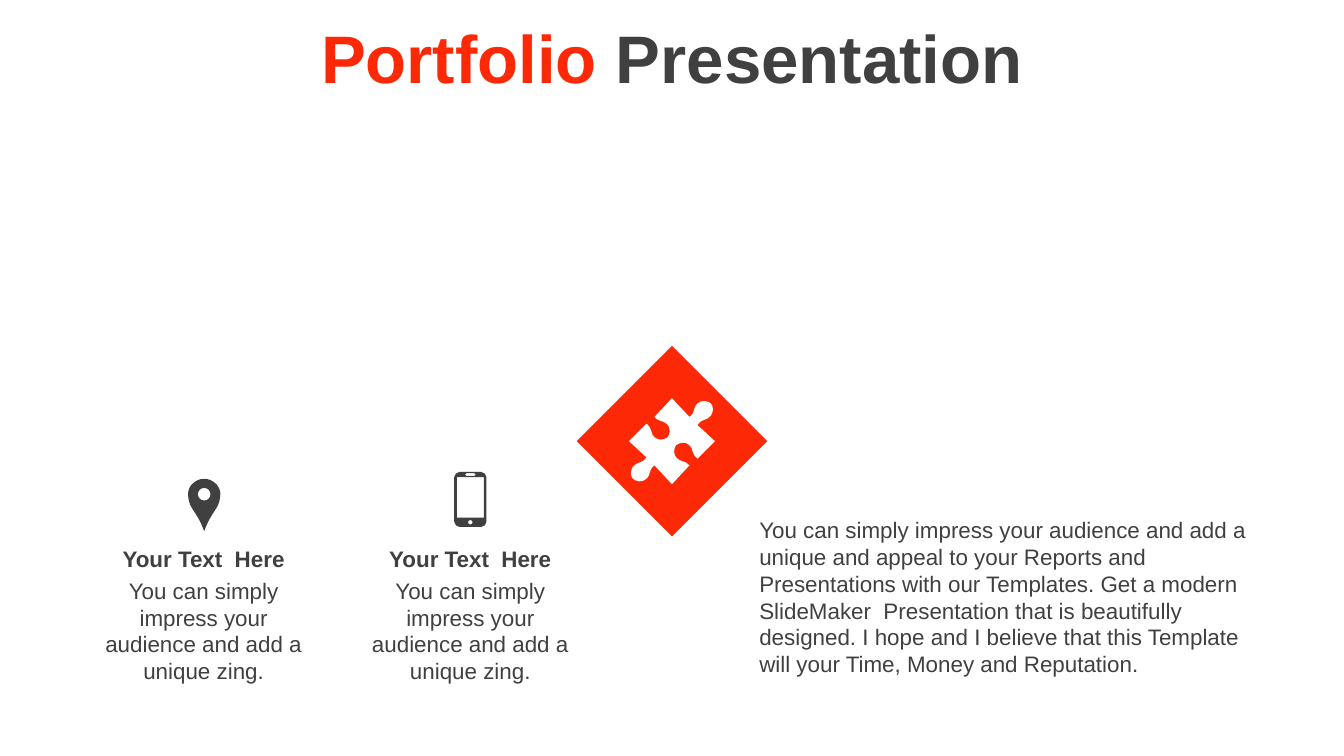
"""Build the Portfolio Presentation slide with two captioned icons and a puzzle diamond."""
from lxml.etree import SubElement
from pptx import Presentation
from pptx.dml.color import RGBColor
from pptx.enum.shapes import MSO_SHAPE
from pptx.enum.text import MSO_ANCHOR, MSO_AUTO_SIZE, PP_ALIGN
from pptx.oxml.ns import qn
from pptx.util import Cm, Pt

RED = RGBColor(0xFD, 0x29, 0x06)
DARK = RGBColor(0x40, 0x40, 0x40)
WHITE = RGBColor(0xFF, 0xFF, 0xFF)
FONT = "Arial"
FINE = 36
UNIT = Cm(0.0254)


def circle(cy, r):
    """Return a circular contour of four curves centred at (0, cy)."""
    k = 0.55 * r
    return [
        [(0, cy - r)],
        [(k, cy - r), (r, cy - k), (r, cy)],
        [(r, cy + k), (k, cy + r), (0, cy + r)],
        [(-k, cy + r), (-r, cy + k), (-r, cy)],
        [(-r, cy - k), (-k, cy - r), (0, cy - r)],
    ]


def draw_icon(shapes, left, top, contours, color):
    """Draw contours of one-point lines and three-point Bezier curves."""
    contours = [[[(round(x * FINE), round(y * FINE)) for x, y in segment]
                 for segment in contour] for contour in contours]
    builder = shapes.build_freeform(*contours[0][0][-1], scale=UNIT / FINE)
    for i, contour in enumerate(contours):
        if i:
            builder.move_to(*contour[0][-1])
        builder.add_line_segments([segment[-1] for segment in contour[1:]], close=True)
    sp = builder.convert_to_shape(left, top)
    ends = [segment[-1] for contour in contours for segment in contour]
    min_x, min_y = min(x for x, y in ends), min(y for x, y in ends)
    segments = [segment for contour in contours for segment in contour[1:]]
    for line, segment in zip(list(sp._element.iter(qn("a:lnTo"))), segments):
        if len(segment) == 3:
            curve = SubElement(line.getparent(), qn("a:cubicBezTo"))
            for x, y in segment:
                SubElement(curve, qn("a:pt"), x=str(x - min_x), y=str(y - min_y))
            line.getparent().replace(line, curve)
    sp.shadow.inherit = False
    sp.fill.solid()
    sp.fill.fore_color.rgb = color
    sp.line.fill.background()


prs = Presentation()
prs.slide_width, prs.slide_height = Cm(25.4), Cm(14.29)
s = prs.slides.add_slide(prs.slide_layouts[5])

title = s.shapes.title
title.left, title.top, title.width, title.height = Cm(0), Cm(0), Cm(25.4), Cm(2.13)
tf = title.text_frame
tf.vertical_anchor = MSO_ANCHOR.MIDDLE
p = tf.paragraphs[0]
p.alignment = PP_ALIGN.CENTER
for text, color in (("Portfolio ", RED), ("Presentation", DARK)):
    r = p.add_run()
    r.text = text
    r.font.name, r.font.size, r.font.bold = FONT, Pt(36), True
    r.font.color.rgb = color

diamond = s.shapes.add_shape(MSO_SHAPE.DIAMOND, Cm(10.9), Cm(6.54), Cm(3.6), Cm(3.6))
diamond.shadow.inherit = False
diamond.fill.solid()
diamond.fill.fore_color.rgb = RED
diamond.line.fill.background()

half_puzzle = [
    [(31, -26), (31, -22), (29, -19)],
    [(26, -15), (22, -17), (19, -12)],
    [(32, 0)],
    [(19, 13)],
    [(14, 9), (16, 5), (13, 3)],
    [(10, 0), (6, 1), (3, 3)],
    [(2, 5), (0, 9), (4, 13)],
    [(8, 16), (9, 14), (13, 18)],
    [(0, 32)],
    [(-13, 18)],
    [(-18, 22), (-15, 24), (-19, 28)],
    [(-22, 31), (-27, 30), (-29, 28)],
]
other_half = [[(-x, -y) for x, y in segment] for segment in half_puzzle]
puzzle = [[[(29, -28)]] + half_puzzle + other_half]

pin = [
    [
        [(0, 0)],
        [(3, 0), (6, 1), (9, 4)],
        [(11, 6), (12, 9), (12, 11)],
        [(12, 15), (11, 19), (9, 22)],
        [(5, 28), (3, 31), (0, 39)],
        [(-3, 31), (-5, 28), (-9, 22)],
        [(-11, 19), (-12, 15), (-12, 11)],
        [(-12, 9), (-11, 6), (-9, 4)],
        [(-6, 1), (-3, 0), (0, 0)],
    ],
    circle(11.5, 4.7),
]

phone = [
    [
        [(-8, 0)], [(8, 0)],
        [(10, 0), (12, 2), (12, 4)], [(12, 37)],
        [(12, 39), (10, 41), (8, 41)], [(-8, 41)],
        [(-10, 41), (-12, 39), (-12, 37)], [(-12, 4)],
        [(-12, 2), (-10, 0), (-8, 0)],
    ],
    [[(-10, 4)], [(-10, 34)], [(10, 34)], [(10, 4)]],
    [
        [(-3, 1)],
        [(-3, 1), (-4, 2), (-4, 2)],
        [(-4, 2), (-3, 3), (-3, 3)],
        [(3, 3)],
        [(3, 3), (4, 2), (4, 2)],
        [(4, 2), (3, 1), (3, 1)],
    ],
    circle(37.5, 1.7),
]

draw_icon(s.shapes, Cm(12.7), Cm(8.34), puzzle, WHITE)
draw_icon(s.shapes, Cm(3.86), Cm(9.05), pin, DARK)

caption = "You can simply impress your audience and add a unique zing."
summary = (
    "You can simply impress your audience and add a unique and appeal to your Reports and "
    "Presentations with our Templates. Get a modern SlideMaker  Presentation that is "
    "beautifully designed. I hope and I believe that this Template will your Time, Money "
    "and Reputation."
)
boxes = []
for left in (1.55, 6.59):
    column = s.shapes.add_group_shape().shapes
    boxes.append((column, left, 10.78, 4.6, 2.31, caption, False, PP_ALIGN.CENTER))
    boxes.append((column, left, 10.18, 4.6, 0.76, "Your Text  Here", True, PP_ALIGN.CENTER))

draw_icon(s.shapes, Cm(8.89), Cm(8.92), phone, DARK)
boxes.append((s.shapes, 14.1, 9.63, 9.96, 3.33, summary, False, PP_ALIGN.LEFT))

for shapes, left, top, width, height, text, bold, align in boxes:
    tf = shapes.add_textbox(Cm(left), Cm(top), Cm(width), Cm(height)).text_frame
    tf.word_wrap = True
    tf.auto_size = MSO_AUTO_SIZE.SHAPE_TO_FIT_TEXT
    tf.text = text
    p = tf.paragraphs[0]
    p.alignment = align
    r = p.runs[0]
    r.font.name, r.font.size, r.font.bold = FONT, Pt(12), bold
    r.font.color.rgb = DARK

prs.save("out.pptx")
